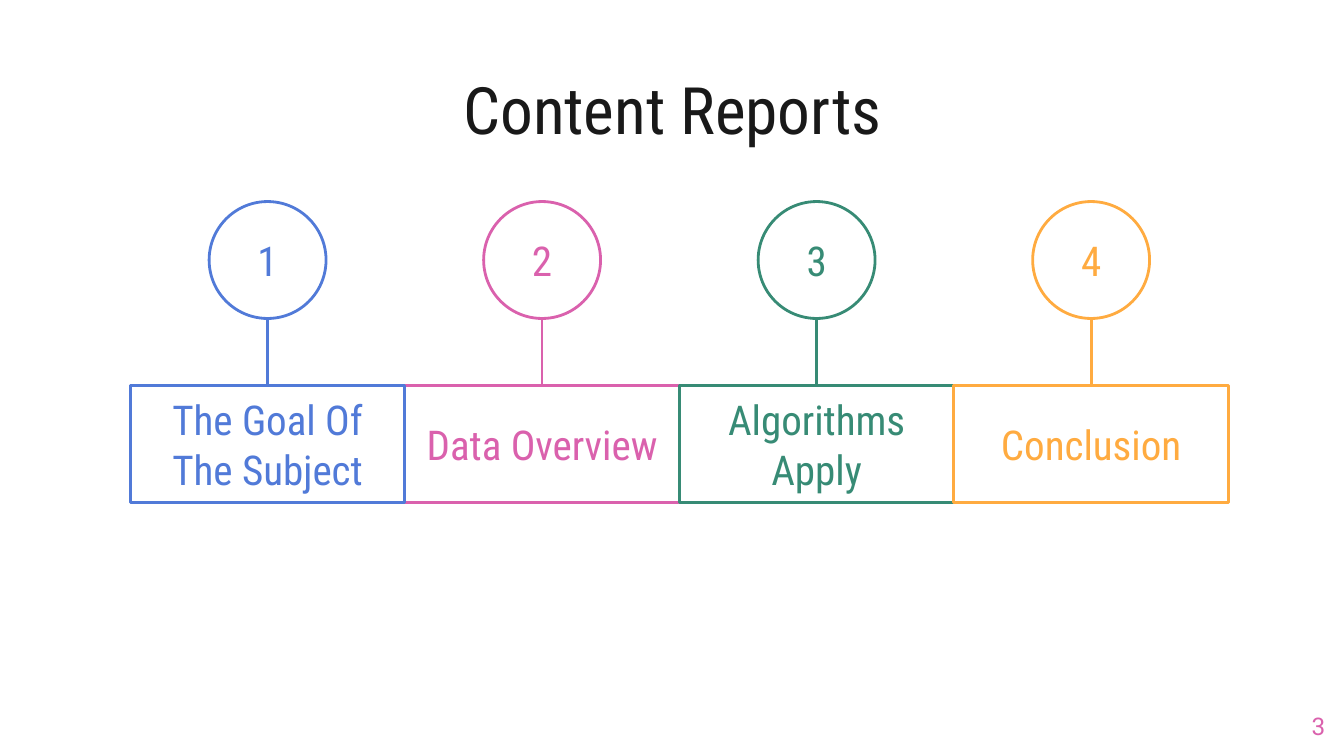
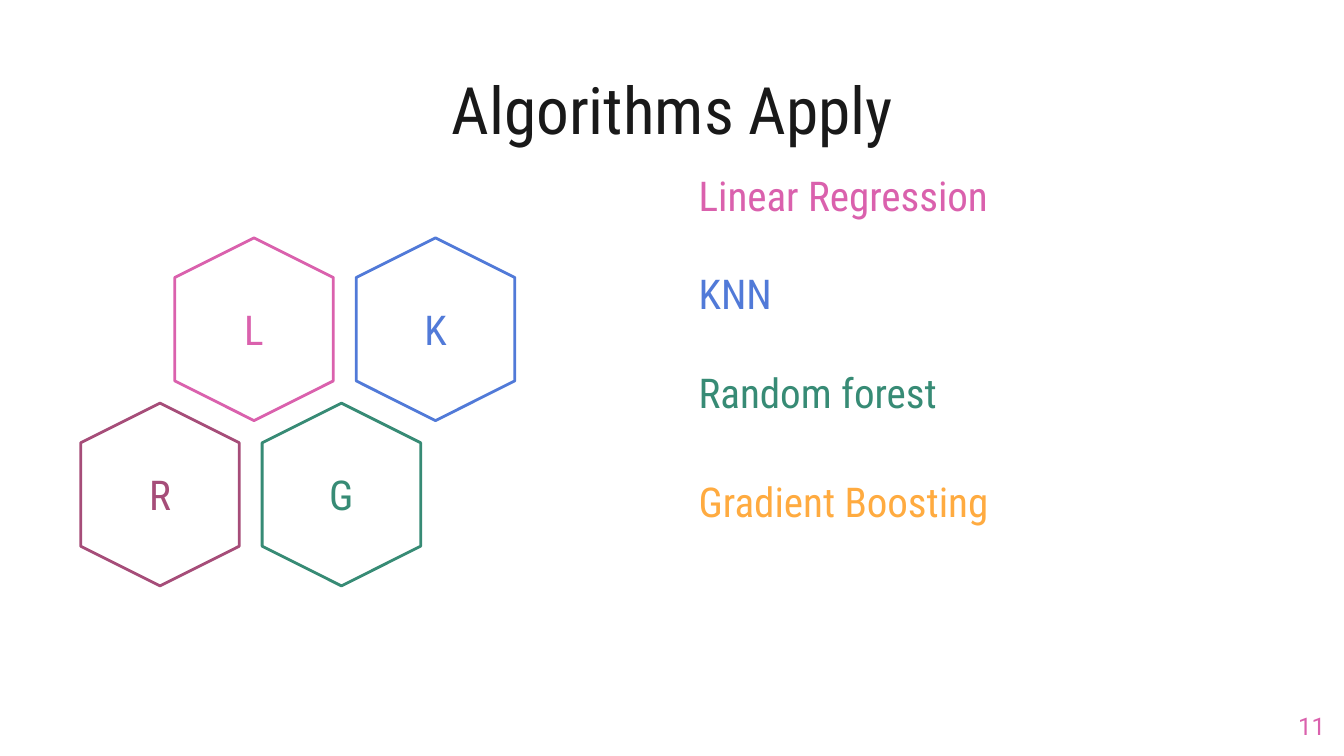
from lxml.etree import SubElement
from pptx import Presentation
from pptx.dml.color import RGBColor as RGB
from pptx.enum.shapes import MSO_CONNECTOR as Link, MSO_SHAPE as Kind
from pptx.enum.text import MSO_ANCHOR as Anchor, MSO_AUTO_SIZE as Fit, PP_ALIGN as Align
from pptx.oxml.ns import qn
from pptx.util import Inches, Pt

COLORS = {
    "ink": "191919",
    "pink": "DA61AD",
    "blue": "517AD8",
    "green": "378B75",
    "amber": "FFAB40",
    "plum": "A64D79",
}
HEAD = "Roboto Condensed"
BODY = "Roboto"
LINE = 1.5

STEPS = [
    ("The Goal Of The Subject", "blue"),
    ("Data Overview", "pink"),
    ("Algorithms Apply", "green"),
    ("Conclusion", "amber"),
]
STEP_LEFT, STEP_RIGHT = 0.97, 9.14
STEP_WIDE = (STEP_RIGHT - STEP_LEFT) / len(STEPS)
RING_TOP, RING = 1.5, 0.87
BAR_TOP, BAR_HIGH = 2.87, 0.87

# Left edge and top of each row of cells, with letters and colours
HIVE = [
    (1.21, 1.86, [("L", "pink"), ("K", "blue")]),
    (0.51, 3.09, [("R", "plum"), ("G", "green")]),
]
HEX_WIDE, HEX_HIGH = 1.36, 1.18
HEX_STEP = 1.35

METHODS = [
    ("Linear Regression", "pink", 1.17),
    ("KNN", "blue", 1.9),
    ("Random forest", "green", 2.64),
    ("Gradient Boosting", "amber", 3.45),
]


def color(name):
    return RGB.from_string(COLORS[name])


def box(*sides):
    return [Inches(side) for side in sides]


def write(shape, text, tint="ink", size=22, font=HEAD, align=Align.CENTER,
          anchor=Anchor.MIDDLE):
    frame = shape.text_frame
    frame.word_wrap = True
    frame.auto_size = Fit.NONE
    frame.vertical_anchor = anchor
    frame.margin_left = frame.margin_right = Inches(0.1)
    frame.margin_top = frame.margin_bottom = Inches(0.1)
    para = frame.paragraphs[0]
    para.alignment = align
    run = para.add_run()
    run.text = text
    run.font.name = font
    run.font.size = Pt(size)
    run.font.color.rgb = color(tint)


def label(slide, text, sides, **style):
    write(slide.shapes.add_textbox(*box(*sides)), text, **style)


def outline(slide, kind, sides, tint):
    """Add an unfilled shape with a coloured border."""
    shape = slide.shapes.add_shape(kind, *box(*sides))
    shape.shadow.inherit = False
    shape.fill.background()
    shape.line.color.rgb = color(tint)
    shape.line.width = Pt(LINE)
    return shape


def stem(slide, x, top, end, tint):
    """Add a vertical line."""
    line = slide.shapes.add_connector(Link.STRAIGHT, *box(x, top, x, end))
    line.line.color.rgb = color(tint)
    line.line.width = Pt(LINE)
    SubElement(line._element.spPr, qn("a:effectLst"))


def start(deck, title, number):
    """Add a slide with its title and page number."""
    slide = deck.slides.add_slide(deck.slide_layouts[5])
    head = slide.shapes.title
    head.left, head.top, head.width, head.height = box(0.79, 0.49, 8.43, 0.63)
    write(head, title, size=35)
    label(slide, str(number), (9.36, 5.19, 0.6, 0.43), tint="pink", size=13,
          font=BODY, align=Align.RIGHT, anchor=Anchor.TOP)
    return slide


def step(slide, index, text, tint):
    """Add a numbered ring joined to its bar."""
    left = STEP_LEFT + index * STEP_WIDE
    mid = left + STEP_WIDE / 2
    ring = outline(slide, Kind.OVAL, (mid - RING / 2, RING_TOP, RING, RING), tint)
    write(ring, str(index + 1), tint=tint)
    stem(slide, mid, RING_TOP + RING, BAR_TOP, tint)
    bar = outline(slide, Kind.RECTANGLE, (left, BAR_TOP, STEP_WIDE, BAR_HIGH), tint)
    write(bar, text, tint=tint)


def cell(slide, left, top, letter, tint):
    """Add an upright hexagon with a letter at its centre."""
    shape = outline(slide, Kind.HEXAGON, (left, top, HEX_WIDE, HEX_HIGH), tint)
    shape.rotation = 90
    wide, high = 0.57, 0.56
    label(slide, letter, (left + (HEX_WIDE - wide) / 2, top + (HEX_HIGH - high) / 2,
                          wide, high), tint=tint)


def agenda(deck):
    slide = start(deck, "Content Reports", 3)
    # Pink goes first so that its neighbours' borders lie over it
    order = sorted(enumerate(STEPS), key=lambda item: item[1][1] != "pink")
    for index, (text, tint) in order:
        step(slide, index, text, tint)


def methods(deck):
    slide = start(deck, "Algorithms Apply", 11)
    for left, top, row in HIVE:
        for index, (letter, tint) in enumerate(row):
            cell(slide, left + index * HEX_STEP, top, letter, tint)
    for text, tint, top in METHODS:
        label(slide, text, (5.1, top, 3.59, 0.56), tint=tint, align=Align.LEFT)


def main():
    deck = Presentation()
    deck.slide_width = Inches(10)
    deck.slide_height = deck.slide_width * 9 // 16
    agenda(deck)
    methods(deck)
    deck.save("out.pptx")


if __name__ == "__main__":
    main()
